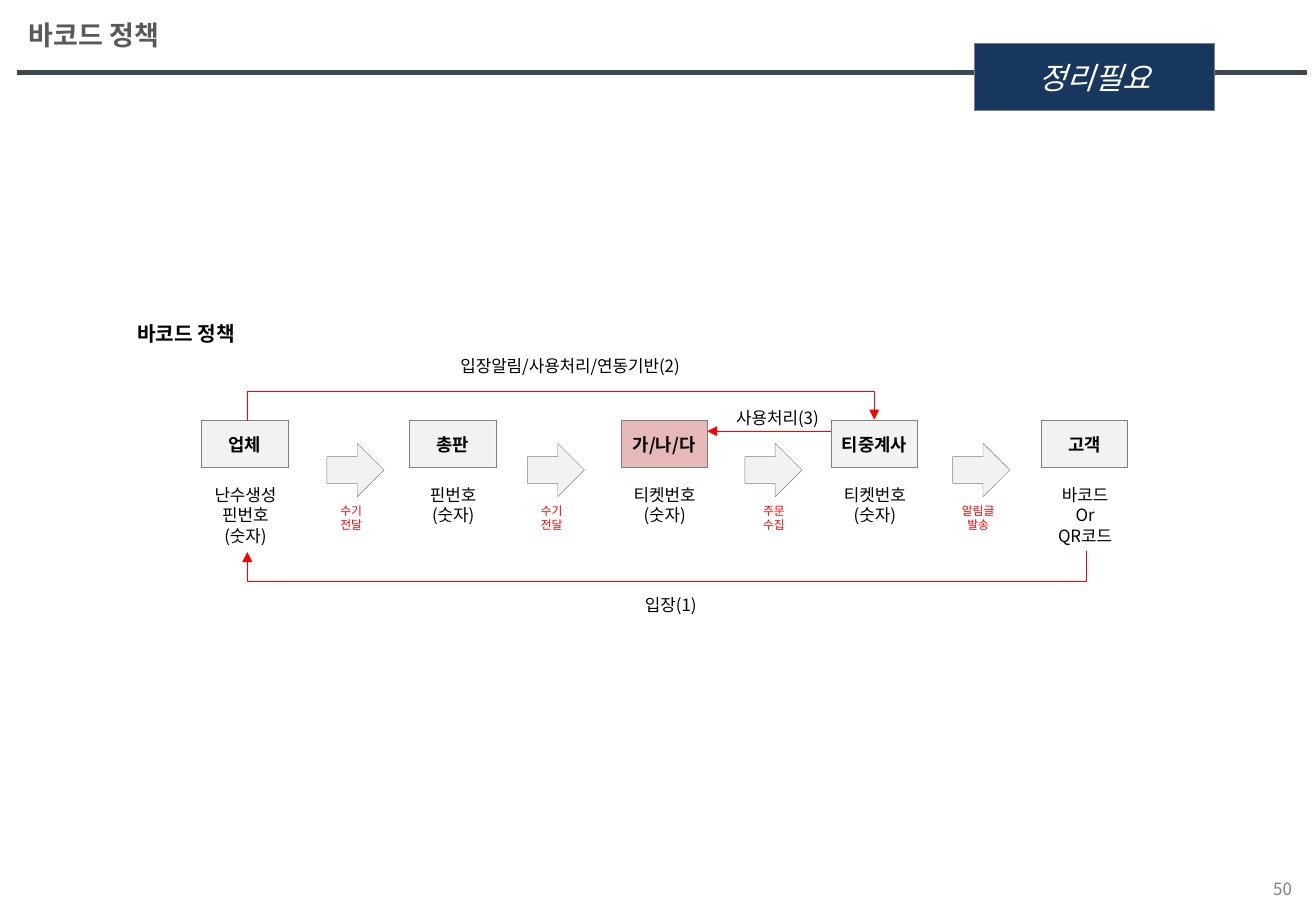
from dataclasses import dataclass

from lxml import etree
from pptx import Presentation
from pptx.dml.color import RGBColor
from pptx.enum.shapes import MSO_CONNECTOR, MSO_SHAPE
from pptx.enum.text import MSO_ANCHOR, PP_ALIGN
from pptx.oxml.ns import qn
from pptx.util import Emu, Pt

STRAIGHT, ELBOW = MSO_CONNECTOR.STRAIGHT, MSO_CONNECTOR.ELBOW
RECT, ARROW = MSO_SHAPE.RECTANGLE, MSO_SHAPE.RIGHT_ARROW
LEFT, CENTER, RIGHT = PP_ALIGN.LEFT, PP_ALIGN.CENTER, PP_ALIGN.RIGHT
TOP, MIDDLE = MSO_ANCHOR.TOP, MSO_ANCHOR.MIDDLE
PX = 9144


@dataclass(frozen=True)
class Theme:
    font: str = "Noto Sans CJK KR"
    ink: str = "000000"
    title: str = "595959"
    gray: str = "808080"
    rule: str = "3E484F"
    panel: str = "F2F2F2"
    pink: str = "E6B9B8"
    navy: str = "17375E"
    white: str = "FFFFFF"
    red: str = "FF0000"
    title_size: float = 16
    badge_size: float = 18
    heading_size: float = 12
    stage_size: float = 10.5
    body_size: float = 10
    note_size: float = 7
    hairline: float = 0.25
    rule_width: float = 3


T = Theme()

STAGES = [
    (63, "업체", "난수생성\n핀번호\n(숫자)", T.panel),
    (234, "총판", "핀번호\n(숫자)", T.panel),
    (408, "가/나/다", "티켓번호\n(숫자)", T.pink),
    (581, "티중계사", "티켓번호\n(숫자)", T.panel),
    (754, "고객", "바코드\nOr\nQR코드", T.panel),
]
HANDOFFS = [
    (166, 186, "수기\n전달"),
    (331, 351, "수기\n전달"),
    (510, 534, "주문\n수집"),
    (681, 702, "알림글\n발송"),
]


def px(*lengths):
    return [Emu(n * PX) for n in lengths]


def rgb(color):
    return RGBColor.from_string(color)


def write(sp, text, size, color=T.ink, align=LEFT, anchor=TOP,
          bold=False, italic=False, wrap=False):
    tf = sp.text_frame
    tf.text = text
    tf.word_wrap = wrap
    tf.vertical_anchor = anchor
    for p in tf.paragraphs:
        p.alignment = align
        for r in p.runs:
            r.font.name = T.font
            r.font.size = Pt(size)
            r.font.bold = bold
            r.font.italic = italic
            r.font.color.rgb = rgb(color)
            ea = etree.SubElement(r._r.get_or_add_rPr(), qn("a:ea"))
            ea.set("typeface", T.font)


def add_text(s, x, y, w, h, text, size, **style):
    write(s.shapes.add_textbox(*px(x, y, w, h)), text, size, **style)


def add_box(s, kind, x, y, w, h, fill):
    sp = s.shapes.add_shape(kind, *px(x, y, w, h))
    sp.shadow.inherit = False
    sp.fill.solid()
    sp.fill.fore_color.rgb = rgb(fill)
    sp.line.color.rgb = rgb(T.gray)
    sp.line.width = Pt(T.hairline)
    return sp


def add_line(s, kind, x1, y1, x2, y2, color, width, arrow=True):
    cx = s.shapes.add_connector(kind, *px(x1, y1, x2, y2))
    cx.line.color.rgb = rgb(color)
    cx.line.width = Pt(width)
    if arrow:
        tail = etree.SubElement(cx.line._get_or_add_ln(), qn("a:tailEnd"))
        tail.set("type", "triangle")
    etree.SubElement(cx._element.spPr, qn("a:effectLst"))
    return cx


def add_loop(s, left, right, y, reach, upward):
    mid, half = (left + right) // 2, (right - left) // 2
    cx = add_line(s, ELBOW, mid, y - half, mid + 1, y + half, T.red, T.hairline)
    spPr = cx._element.spPr
    xfrm = spPr.find(qn("a:xfrm"))
    xfrm.set("rot", "5400000")
    if upward:
        xfrm.set("flipH", "1")
        xfrm.set("flipV", "1")
    guides = spPr.find(qn("a:prstGeom")).find(qn("a:avLst"))
    gd = etree.SubElement(guides, qn("a:gd"))
    gd.set("name", "adj1")
    gd.set("fmla", f"val {reach * 100000}")


def draw_header(s, x, y, w):
    add_line(s, STRAIGHT, x, y + 60, x + w, y + 60, T.rule, T.rule_width, arrow=False)
    add_text(s, x, y, 870, 57, "바코드 정책", T.title_size,
             color=T.title, anchor=MIDDLE, bold=True)
    badge = add_box(s, RECT, x + 788, y + 36, 197, 55, T.navy)
    write(badge, "정리필요", T.badge_size, color=T.white, align=CENTER,
          anchor=MIDDLE, italic=True)


def draw_flow(s, x, y):
    add_text(s, x, y, 110, 30, "바코드 정책", T.heading_size, bold=True)
    for dx, name, detail, fill in STAGES:
        stage = add_box(s, RECT, x + dx, y + 86, 71, 39, fill)
        write(stage, name, T.stage_size, align=CENTER, anchor=MIDDLE, bold=True)
        add_text(s, x + dx - 2, y + 134, 76, 61, detail, T.body_size, align=CENTER)
    for dx, center, note in HANDOFFS:
        add_box(s, ARROW, x + dx, y + 105, 47, 44, T.panel)
        add_text(s, x + center - 25, y + 150, 50, 34, note, T.note_size,
                 color=T.red, align=CENTER)
    add_loop(s, x + 100, x + 790, y + 194, 25, upward=False)
    add_loop(s, x + 100, x + 617, y + 86, 25, upward=True)
    add_line(s, STRAIGHT, x + 581, y + 95, x + 479, y + 95, T.red, T.hairline)
    add_text(s, x + 418, y + 225, 64, 27, "입장(1)", T.body_size, wrap=True)
    add_text(s, x + 266, y + 28, 216, 27, "입장알림/사용처리/연동기반(2)",
             T.body_size, wrap=True)
    add_text(s, x + 493, y + 71, 92, 27, "사용처리(3)", T.body_size)


def draw_page_number(s, x, y, w, h):
    add_text(s, x, y, w, h, "50", T.body_size, color=T.gray,
             align=RIGHT, anchor=MIDDLE)


def main():
    prs = Presentation()
    prs.slide_width, prs.slide_height = px(1083, 750)
    s = prs.slides.add_slide(prs.slide_layouts[6])
    draw_header(s, 14, 0, 1062)
    draw_flow(s, 103, 260)
    draw_page_number(s, 820, 712, 253, 40)
    prs.save("out.pptx")


if __name__ == "__main__":
    main()
